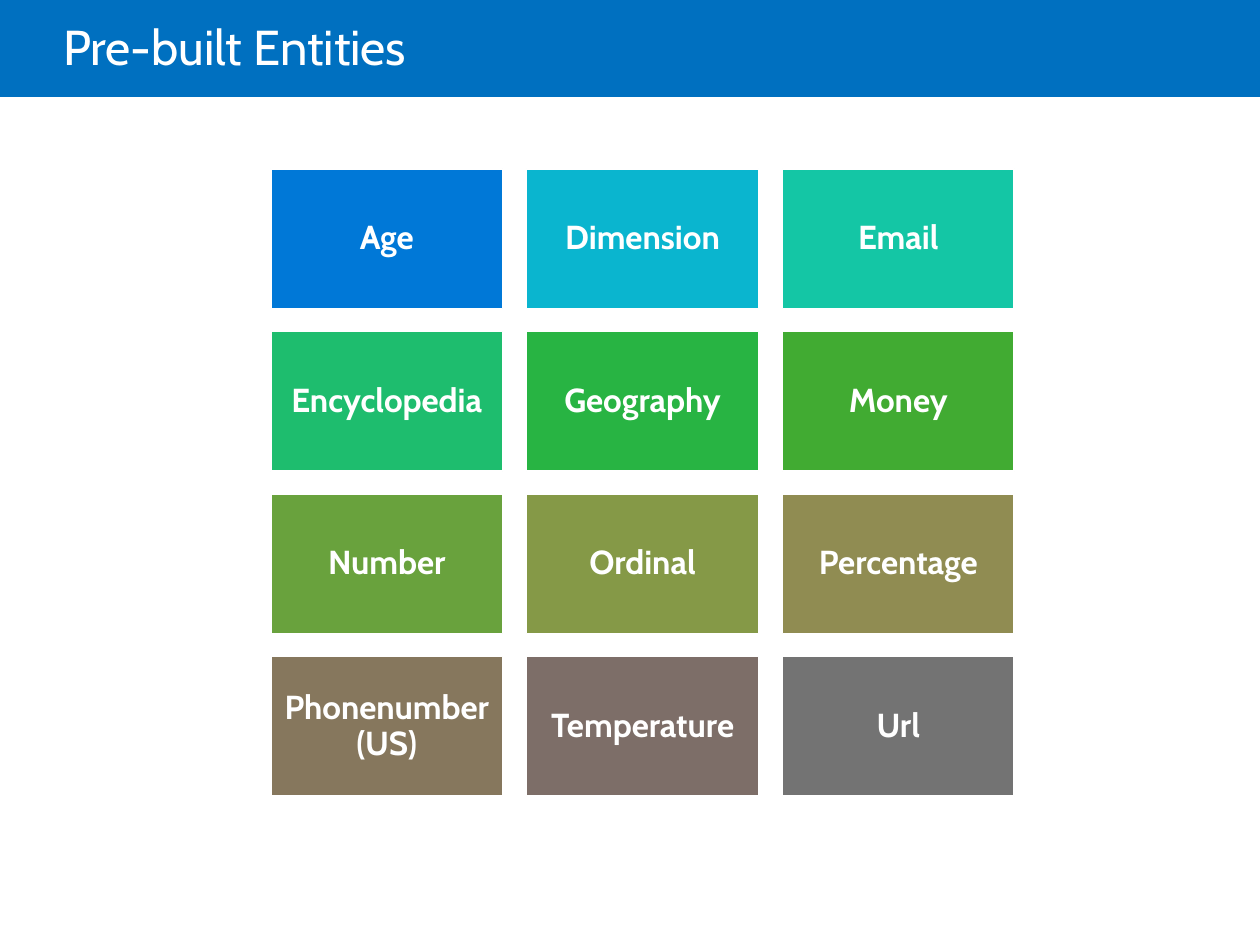
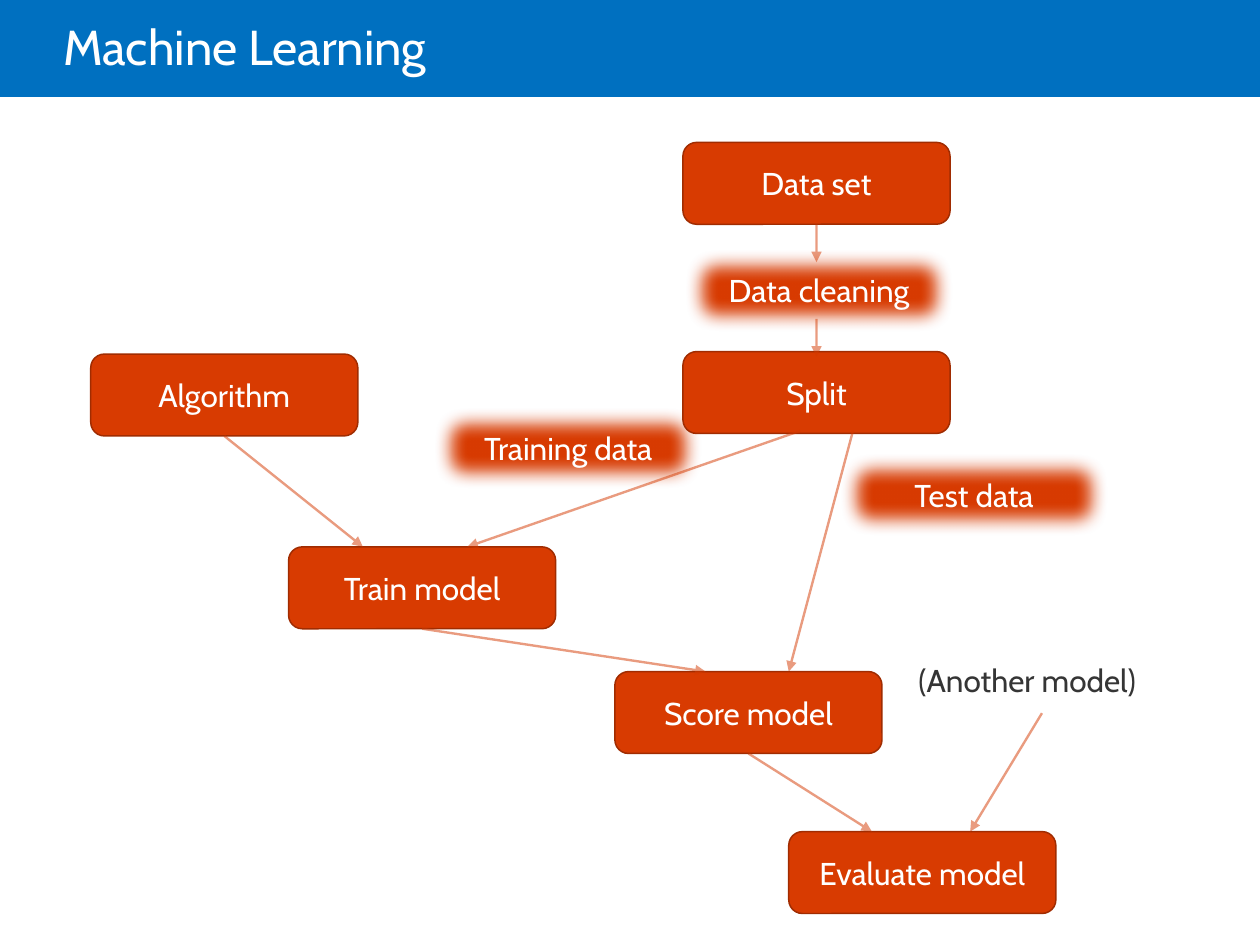
from lxml import etree
from pptx import Presentation
from pptx.dml.color import RGBColor
from pptx.enum.shapes import MSO_CONNECTOR, MSO_SHAPE
from pptx.enum.text import MSO_ANCHOR, PP_ALIGN
from pptx.oxml.ns import qn
from pptx.util import Inches, Pt

RECT, ROUND = MSO_SHAPE.RECTANGLE, MSO_SHAPE.ROUNDED_RECTANGLE
STRAIGHT = MSO_CONNECTOR.STRAIGHT
MIDDLE = MSO_ANCHOR.MIDDLE
LEFT, CENTER = PP_ALIGN.LEFT, PP_ALIGN.CENTER

COLORS = {"white": "FFFFFF", "band": "0070C0", "node": "D83B01",
          "edge": "A02C01", "arrow": "D43900", "text": "353535"}
TILES = [("Age", "0078D7"), ("Dimension", "0AB5CF"), ("Email", "14C6A5"),
         ("Encyclopedia", "1EBD6E"), ("Geography", "28B443"), ("Money", "41AB32"),
         ("Number", "69A23D"), ("Ordinal", "859947"), ("Percentage", "908C52"),
         ("Phonenumber (US)", "86775D"), ("Temperature", "7D6E68"), ("Url", "737373")]
NODES = [("Data set", 5.42, 1.13, False), ("Training data", 3.45, 3.23, True),
         ("Test data", 6.67, 3.6, True), ("Algorithm", 0.72, 2.81, False),
         ("Train model", 2.29, 4.34, False), ("Score model", 4.88, 5.33, False),
         ("Evaluate model", 6.26, 6.6, False), ("Data cleaning", 5.44, 1.98, True),
         ("Split", 5.42, 2.79, False)]
ARROWS = [(1.78, 3.46, 2.88, 4.34), (6.35, 3.42, 3.71, 4.34),
          (6.77, 3.42, 6.26, 5.33), (5.94, 5.98, 6.92, 6.6),
          (3.35, 4.99, 5.6, 5.33), (8.27, 5.66, 7.7, 6.6),
          (6.48, 1.78, 6.48, 2.08), (6.48, 2.53, 6.48, 2.83)]


def rgb(code):
    return RGBColor.from_string(code)


class Deck:
    """Holds the shared style and the slide being built."""

    font = "Cabin"

    def __init__(self):
        self.prs = Presentation()
        self.prs.slide_width, self.prs.slide_height = Inches(10), Inches(7.5)
        self.layout = self.prs.slide_layouts[5]
        self.slide = None

    def put(self, frame, text, size, color, align=CENTER, bold=False, space=1.0):
        frame.word_wrap = True
        frame.text = text
        par = frame.paragraphs[0]
        par.alignment, par.line_spacing = align, space
        par.font.name, par.font.size, par.font.bold = self.font, Pt(size), bold
        par.font.color.rgb = rgb(color)

    def start(self, title):
        first = self.slide is None
        self.slide = self.prs.slides.add_slide(self.layout)
        if first:
            band = self.box(RECT, 0, 0, 10, 0.77, COLORS["band"])
            self.layout.shapes.element.insert(2, band.element)
        head = self.slide.shapes.title
        head.left, head.top = Inches(0.5), Inches(0)
        head.width, head.height = Inches(8.5), Inches(0.81)
        frame = head.text_frame
        frame.margin_left, frame.vertical_anchor = 0, MIDDLE
        self.put(frame, title, 28, COLORS["white"], LEFT, space=0.85)

    def box(self, kind, x, y, w, h, fill, line=None):
        shape = self.slide.shapes.add_shape(
            kind, Inches(x), Inches(y), Inches(w), Inches(h))
        shape.shadow.inherit = False
        shape.fill.solid()
        shape.fill.fore_color.rgb = rgb(fill)
        if line:
            shape.line.color.rgb = rgb(line)
            shape.line.width = Pt(0.85)
        else:
            shape.line.fill.background()
        shape.text_frame.vertical_anchor = MIDDLE
        return shape

    def tile(self, text, x, y, fill):
        frame = self.box(RECT, x, y, 1.84, 1.11, fill, COLORS["white"]).text_frame
        frame.margin_left = frame.margin_right = Inches(0.08)
        frame.margin_top = frame.margin_bottom = Inches(0.08)
        self.put(frame, text, 19, COLORS["white"], bold=True, space=0.9)

    def node(self, text, x, y, soft):
        shape = self.box(ROUND, x, y, 2.12, 0.65, COLORS["node"], COLORS["edge"])
        self.put(shape.text_frame, text, 18, COLORS["white"])
        if soft:
            effect = shape.element.spPr.find(qn("a:effectLst"))
            etree.SubElement(effect, qn("a:softEdge"), rad=str(Pt(10)))

    def arrow(self, x1, y1, x2, y2):
        link = self.slide.shapes.add_connector(
            STRAIGHT, Inches(x1), Inches(y1), Inches(x2), Inches(y2))
        link.line.width = Pt(1.35)
        link.line.color.rgb = rgb(COLORS["arrow"])
        props = link.element.spPr
        line = props.find(qn("a:ln"))
        tint = line.find(".//" + qn("a:srgbClr"))
        etree.SubElement(tint, qn("a:alpha"), val="50000")
        etree.SubElement(line, qn("a:tailEnd"), type="triangle")
        etree.SubElement(props, qn("a:effectLst"))

    def label(self, text, x, y, w, h):
        area = self.slide.shapes.add_textbox(
            Inches(x), Inches(y), Inches(w), Inches(h))
        self.put(area.text_frame, text, 18, COLORS["text"], LEFT)


def main():
    deck = Deck()
    deck.start("Pre-built Entities")
    for i, (text, fill) in enumerate(TILES):
        row, col = divmod(i, 3)
        deck.tile(text, 2.15 + 2.03 * col, 1.34 + 1.29 * row, fill)

    deck.start("Machine Learning")
    for node in NODES:
        deck.node(*node)
    for arrow in ARROWS:
        deck.arrow(*arrow)
    deck.label("(Another model)", 7.19, 5.2, 2.29, 0.39)
    deck.prs.save("out.pptx")


if __name__ == "__main__":
    main()
